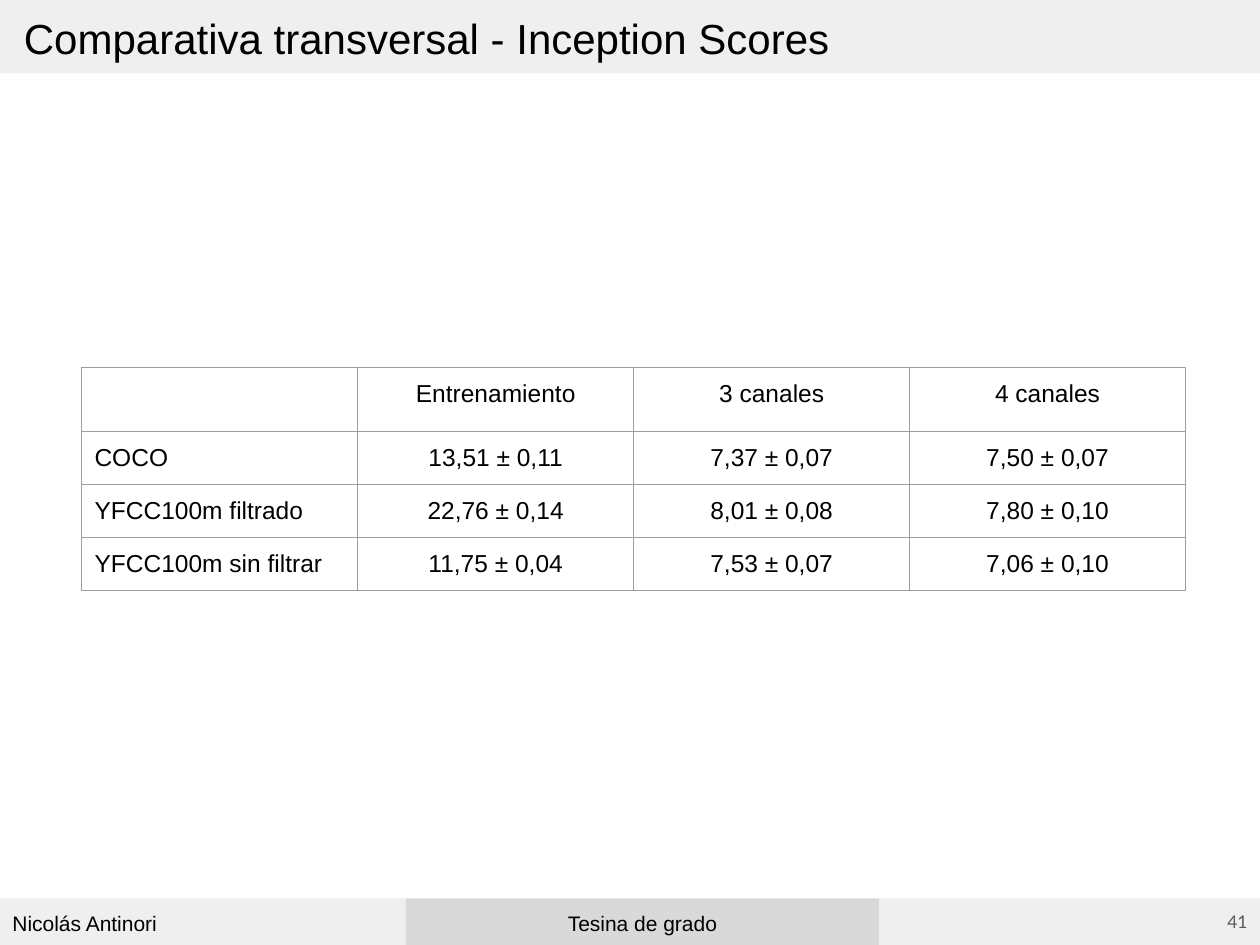
from lxml import etree
from pptx import Presentation
from pptx import util as u
from pptx.dml.color import RGBColor
from pptx.enum import shapes, text
from pptx.oxml.ns import qn

WIDTH, HEIGHT = 10, 7.5
LIGHT = RGBColor(0xEF, 0xEF, 0xEF)
MID = RGBColor(0xD9, 0xD9, 0xD9)
BLACK = RGBColor(0, 0, 0)
GRAY = RGBColor(0x59, 0x59, 0x59)
BORDER = "9E9E9E"
INSET = 0.1
LEFT, CENTER, RIGHT = text.PP_ALIGN.LEFT, text.PP_ALIGN.CENTER, text.PP_ALIGN.RIGHT
TOP, MIDDLE = text.MSO_ANCHOR.TOP, text.MSO_ANCHOR.MIDDLE

SCORES = [
    ["", "Entrenamiento", "3 canales", "4 canales"],
    ["COCO", "13,51 ± 0,11", "7,37 ± 0,07", "7,50 ± 0,07"],
    ["YFCC100m filtrado", "22,76 ± 0,14", "8,01 ± 0,08", "7,80 ± 0,10"],
    ["YFCC100m sin filtrar", "11,75 ± 0,04", "7,53 ± 0,07", "7,06 ± 0,10"],
]


def set_margins(target, left=INSET):
    target.margin_left = u.Inches(left)
    target.margin_top = target.margin_right = target.margin_bottom = u.Inches(INSET)


def write(text_frame, words, size, align, color=BLACK, font="Arial"):
    text_frame.text = words
    paragraph = text_frame.paragraphs[0]
    paragraph.alignment = align
    for run in paragraph.runs:
        run.font.size = u.Pt(size)
        run.font.name = font
        run.font.color.rgb = color


def add_band(slide, box, fill, words, size, align=LEFT, anchor=TOP,
             inset=INSET, color=BLACK, font="Arial"):
    shape = slide.shapes.add_shape(shapes.MSO_SHAPE.RECTANGLE, *map(u.Inches, box))
    shape.shadow.inherit = False
    shape.fill.solid()
    shape.fill.fore_color.rgb = fill
    shape.line.fill.background()
    text_frame = shape.text_frame
    text_frame.word_wrap = True
    text_frame.vertical_anchor = anchor
    set_margins(text_frame, inset)
    write(text_frame, words, size, align, color, font)


def add_footer(slide, left, top, width, height):
    """Author, document and page number side by side."""
    author, document = 0.322 * width, 0.376 * width
    page = width - author - document
    add_band(slide, (left, top, author, height), LIGHT, "Nicolás Antinori", 12)
    add_band(slide, (left + author, top, document, height), MID,
             "Tesina de grado", 12, CENTER)
    add_band(slide, (left + author + document, top, page, height), LIGHT,
             "41", 10, RIGHT, MIDDLE, color=GRAY, font="Lato")


def set_borders(cell):
    properties = cell._tc.get_or_add_tcPr()
    for index, side in enumerate(("a:lnL", "a:lnR", "a:lnT", "a:lnB")):
        line = etree.Element(qn(side), w=str(u.Pt(0.75)))
        fill = etree.SubElement(line, qn("a:solidFill"))
        etree.SubElement(fill, qn("a:srgbClr"), val=BORDER)
        properties.insert(index, line)


def add_scores(slide, left, top, width, row_heights):
    """Equal columns; the first one holds the data set names."""
    rows, columns = len(SCORES), len(SCORES[0])
    frame = slide.shapes.add_table(rows, columns, *map(
        u.Inches, (left, top, width, sum(row_heights))))
    table = frame.table
    table.first_row = table.horz_banding = False
    for column in table.columns:
        column.width = u.Inches(width / columns)
    for row, height, values in zip(table.rows, row_heights, SCORES):
        row.height = u.Inches(height)
        for index, (cell, value) in enumerate(zip(row.cells, values)):
            set_margins(cell)
            cell.fill.background()
            set_borders(cell)
            if value:
                write(cell.text_frame, value, 14, CENTER if index else LEFT)


def main():
    presentation = Presentation()
    presentation.slide_width = u.Inches(WIDTH)
    presentation.slide_height = u.Inches(HEIGHT)
    slide = presentation.slides.add_slide(presentation.slide_layouts[6])

    # Title band
    add_band(slide, (0, 0, WIDTH, 0.58), LIGHT,
             "Comparativa transversal - Inception Scores", 24, inset=0.19)
    # Footer
    add_footer(slide, 0, HEIGHT - 0.37, WIDTH, 0.37)
    # Score table
    add_scores(slide, 0.65, 2.92, 8.76, [0.43] + [0.42] * 3)

    presentation.save("out.pptx")


if __name__ == "__main__":
    main()
